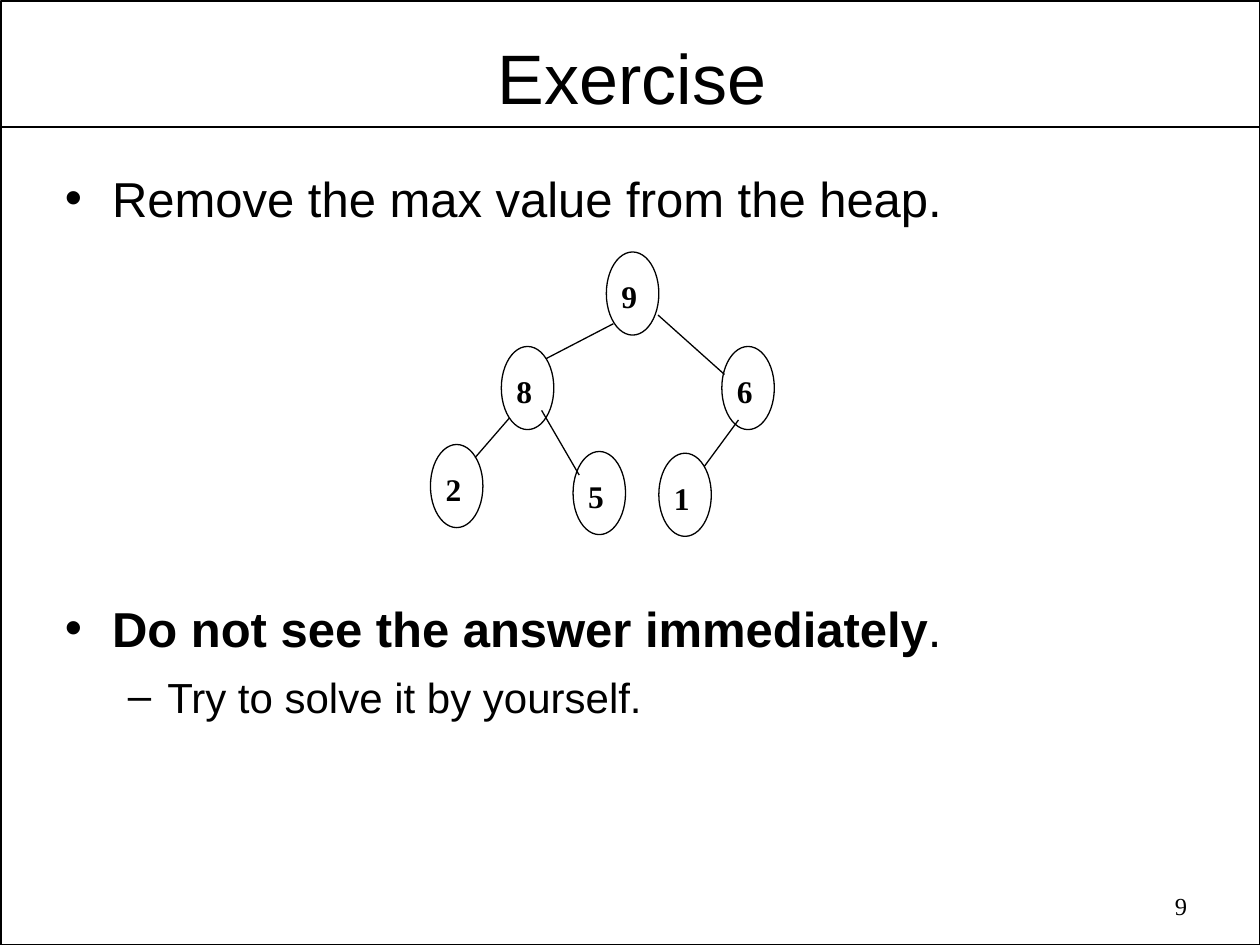
from dataclasses import dataclass

from lxml import etree
from pptx import Presentation
from pptx import util as u
from pptx.dml.color import RGBColor
from pptx.enum import shapes, text
from pptx.oxml import ns

Pt = u.Pt
BLACK = RGBColor(0x00, 0x00, 0x00)
SANS, SERIF = "Arial", "Times New Roman"
NODE_WIDTH, NODE_HEIGHT = 30, 47.5
LEFT, CENTER, RIGHT = text.PP_ALIGN.LEFT, text.PP_ALIGN.CENTER, text.PP_ALIGN.RIGHT


@dataclass(frozen=True)
class Node:
    label: str
    left: float
    top: float


@dataclass(frozen=True)
class Edge:
    x1: float
    y1: float
    x2: float
    y2: float


@dataclass(frozen=True)
class Bullet:
    spans: tuple[tuple[str, bool], ...]
    mark: str
    level: int
    size: float
    before: float
    margin: float
    hanging: float


NODES = [
    Node("9", 346.5, 144),
    Node("8", 286.5, 198),
    Node("6", 412.5, 198),
    Node("2", 246, 254),
    Node("5", 327.5, 258),
    Node("1", 376.5, 259),
]
EDGES = [
    Edge(414, 214, 376, 180),
    Edge(350.5, 185, 312, 205),
    Edge(291, 239, 271.5, 261.5),
    Edge(331, 271.5, 309.5, 234.5),
    Edge(422, 240, 402.5, 266.5),
]
BULLETS = [
    Bullet((("Remove the max value from the heap.", False),), "•", 0, 28, 0, 27, 27),
    Bullet((("Do not see the answer immediately", True), (".", False)),
           "•", 0, 28, 212, 27, 27),
    Bullet((("Try to solve it by yourself.", False),), "–", 1, 24, 8, 58.5, 22.5),
]


def set_values(target, values: dict) -> None:
    for name, value in values.items():
        setattr(target, name, value)


def add_span(para, words: str, size: float, face: str, bold: bool = False) -> None:
    span = para.add_run()
    span.text = words
    set_values(span.font, {"size": Pt(size), "name": face, "bold": bold})
    span.font.color.rgb = BLACK


def add_box(parent, left: float, top: float, width: float, height: float, **frame_format):
    box = parent.add_textbox(Pt(left), Pt(top), Pt(width), Pt(height))
    set_values(box.text_frame, {"word_wrap": True, **frame_format})
    return box.text_frame


def add_outline(parent, kind, left: float, top: float, width: float,
                height: float, weight: float) -> None:
    outline = parent.add_shape(kind, Pt(left), Pt(top), Pt(width), Pt(height))
    outline.shadow.inherit = False
    outline.fill.background()
    outline.line.color.rgb = BLACK
    outline.line.width = Pt(weight)


def add_line(page, edge: Edge, weight: float) -> None:
    line = page.shapes.add_connector(
        shapes.MSO_CONNECTOR.STRAIGHT,
        Pt(edge.x1), Pt(edge.y1), Pt(edge.x2), Pt(edge.y2))
    line.line.color.rgb = BLACK
    line.line.width = Pt(weight)
    etree.SubElement(line._element.spPr, ns.qn("a:effectLst"))


def add_node(page, node: Node) -> None:
    group = page.shapes.add_group_shape().shapes
    frame = add_box(group, node.left + 1.5, node.top + 9.5, 23, 29,
                    word_wrap=False, margin_top=Pt(5))
    add_span(frame.paragraphs[0], node.label, 18, SERIF, bold=True)
    add_outline(group, shapes.MSO_SHAPE.OVAL, node.left, node.top,
                NODE_WIDTH, NODE_HEIGHT, 0.75)


def add_bullet(para, bullet: Bullet) -> None:
    set_values(para, {"level": bullet.level, "space_before": Pt(bullet.before),
                      "alignment": LEFT})
    properties = para._p.get_or_add_pPr()
    properties.set("marL", str(Pt(bullet.margin)))
    properties.set("indent", str(-Pt(bullet.hanging)))
    etree.SubElement(properties, ns.qn("a:buFont")).set("typeface", SANS)
    etree.SubElement(properties, ns.qn("a:buChar")).set("char", bullet.mark)
    for words, bold in bullet.spans:
        add_span(para, words, bullet.size, SANS, bold)


def main() -> None:
    deck = Presentation()
    set_values(deck, {"slide_width": Pt(720), "slide_height": Pt(540)})
    page = deck.slides.add_slide(deck.slide_layouts[6])

    # Page frame and title rule
    add_outline(page.shapes, shapes.MSO_SHAPE.RECTANGLE, 0.75, 0.75, 719.25, 539.25, 1)
    add_line(page, Edge(0.75, 72.75, 719.25, 72.75), 1)

    # Bullets, with room for the heap between the first two
    body = add_box(page.shapes, 30, 90.75, 660, 395.25, margin_top=Pt(5.5))
    for index, bullet in enumerate(BULLETS):
        add_bullet(body.add_paragraph() if index else body.paragraphs[0], bullet)

    # Title
    title = add_box(page.shapes, 38.25, 13.75, 645.75, 52, margin_left=Pt(5),
                    margin_right=Pt(5), margin_top=Pt(6), margin_bottom=Pt(2))
    title.paragraphs[0].alignment = CENTER
    add_span(title.paragraphs[0], "Exercise", 40, SANS)

    # Page number
    number = add_box(page.shapes, 517, 504.75, 168.5, 26,
                     vertical_anchor=text.MSO_ANCHOR.MIDDLE)
    number.paragraphs[0].alignment = RIGHT
    add_span(number.paragraphs[0], "9", 14, SERIF)

    # Heap
    for node in NODES:
        add_node(page, node)
    for edge in EDGES:
        add_line(page, edge, 0.75)

    deck.save("out.pptx")


if __name__ == "__main__":
    main()
